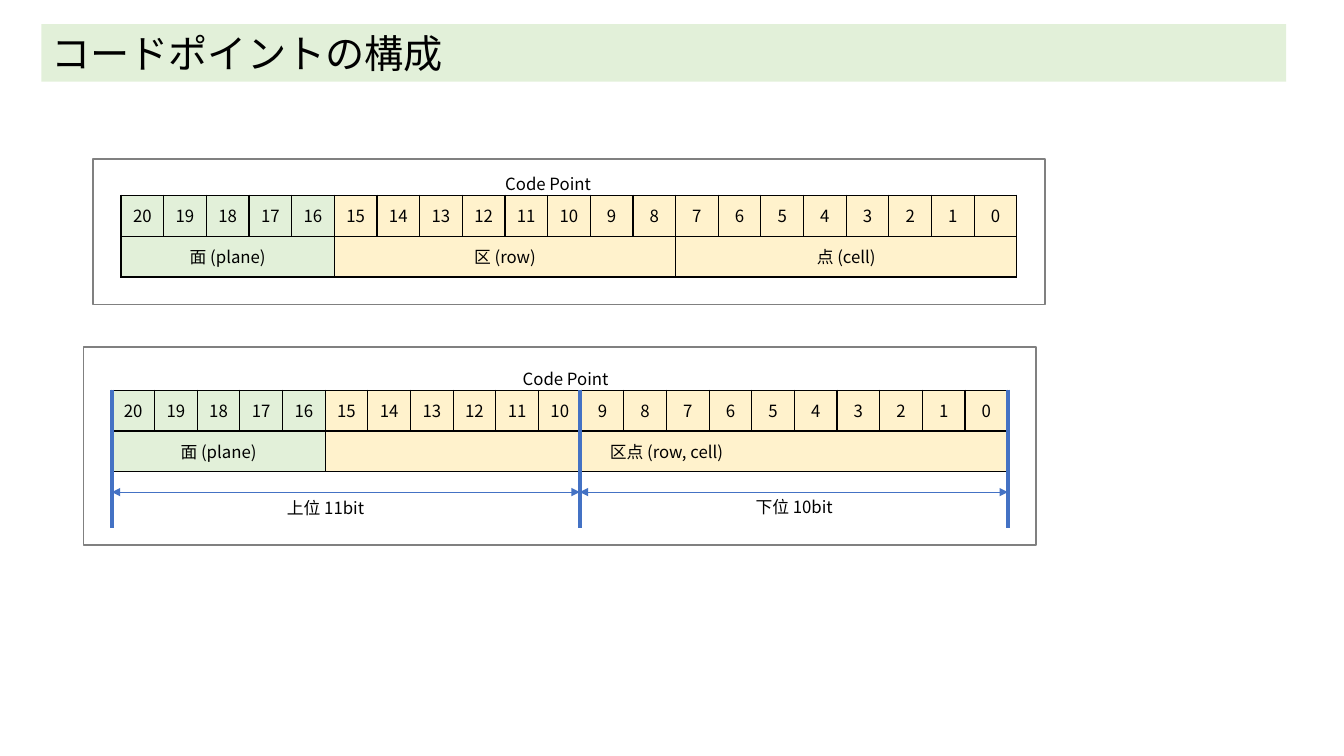
from lxml import etree
from pptx import Presentation
from pptx.dml.color import RGBColor
from pptx.enum import shapes, text
from pptx.oxml import ns
from pptx.util import Cm, Pt

FONT = "Noto Sans CJK JP"
GREEN, CREAM, BLUE, GRAY, BLACK = "E2F0D9", "FFF2CC", "4472C4", "808080", "000000"
TITLE = "コードポイントの構成"
BITS = list(range(20, -1, -1))
PLANES = 5
COL, ROW = 1.075, 1.03
LABEL = (7.37, 0.76)

TABLES = [
    (3.05, 4.92, [("面 (plane)", 5), ("区 (row)", 8), ("点 (cell)", 8)]),
    (2.82, 9.83, [("面 (plane)", 5), ("区点 (row, cell)", 16)]),
]
FRAMES = [(2.34, 4.01, 24, 3.66), (2.11, 8.74, 24, 5)]
HEADS = [("Code Point", 10.13, 4.24), ("Code Point", 10.57, 9.17)]
PARTS = [("上位 11bit", 4.52, 12.42), ("下位 10bit", 16.33, 12.4)]
MARKS = [2.82, 14.61, 25.4]
TOP, END, ARROW = 9.82, 13.31, 12.4


def color(code):
    return RGBColor.from_string(code)


def add(node, tag, **attrs):
    return etree.SubElement(node, ns.qn(tag), **attrs)


def write(frame, words, size=12, align=text.PP_ALIGN.CENTER):
    para = frame.paragraphs[0]
    para.text = words
    para.alignment = align
    font = para.font
    font.name, font.size = FONT, Pt(size)
    font.color.rgb = color(BLACK)
    add(para._p.find(".//" + ns.qn("a:defRPr")), "a:ea", typeface=FONT)


def label(slide, words, left, top):
    box = slide.shapes.add_textbox(Cm(left), Cm(top), *map(Cm, LABEL))
    box.text_frame.word_wrap = True
    box.text_frame.vertical_anchor = text.MSO_ANCHOR.MIDDLE
    write(box.text_frame, words)


def style(cell, fill):
    props = cell._tc.get_or_add_tcPr()
    for side in "LRTB":
        edge = add(props, "a:ln" + side, w=str(Pt(1)))
        add(add(edge, "a:solidFill"), "a:srgbClr", val=BLACK)
    cell.fill.solid()
    cell.fill.fore_color.rgb = color(fill)
    cell.vertical_anchor = text.MSO_ANCHOR.MIDDLE


def table(slide, left, top, groups):
    count = len(BITS)
    grid = slide.shapes.add_table(
        2, count, Cm(left), Cm(top), Cm(COL * count), Cm(ROW * 2)).table
    grid.first_row = grid.horz_banding = False
    for row in grid.rows:
        row.height = Cm(ROW)
    for i, bit in enumerate(BITS):
        grid.columns[i].width = Cm(COL)
        for row in range(2):
            style(grid.cell(row, i), GREEN if i < PLANES else CREAM)
        write(grid.cell(0, i).text_frame, str(bit))
    start = 0
    for words, span in groups:
        cell = grid.cell(1, start)
        cell.merge(grid.cell(1, start + span - 1))
        write(cell.text_frame, words)
        start += span


def frame(slide, *area):
    box = slide.shapes.add_shape(shapes.MSO_SHAPE.RECTANGLE, *map(Cm, area))
    box.shadow.inherit = False
    box.fill.background()
    box.line.color.rgb = color(GRAY)
    box.line.width = Pt(1)


def line(slide, ends, width, arrows=False):
    rule = slide.shapes.add_connector(
        shapes.MSO_CONNECTOR.STRAIGHT, *map(Cm, ends))
    rule.line.color.rgb = color(BLUE)
    rule.line.width = Pt(width)
    props = rule._element.spPr
    if arrows:
        for end in ("a:headEnd", "a:tailEnd"):
            add(props.find(ns.qn("a:ln")), end, type="triangle")
    add(props, "a:effectLst")


def main():
    deck = Presentation()
    deck.slide_width, deck.slide_height = Cm(33.87), Cm(19.05)
    slide = deck.slides.add_slide(deck.slide_layouts[5])

    title = slide.shapes.title
    title.left, title.top, title.width, title.height = map(
        Cm, (1.04, 0.61, 31.37, 1.45))
    title.fill.solid()
    title.fill.fore_color.rgb = color(GREEN)
    title.text_frame.auto_size = text.MSO_AUTO_SIZE.NONE
    title.text_frame.vertical_anchor = text.MSO_ANCHOR.MIDDLE
    write(title.text_frame, TITLE, 28, text.PP_ALIGN.LEFT)

    for area in FRAMES:
        frame(slide, *area)
    for item in TABLES:
        table(slide, *item)
    for item in HEADS + PARTS:
        label(slide, *item)
    for x in MARKS:
        line(slide, (x, TOP, x, END), 3)
    for left, right in zip(MARKS, MARKS[1:]):
        line(slide, (left, ARROW, right, ARROW), 0.5, True)

    deck.save("out.pptx")


if __name__ == "__main__":
    main()
